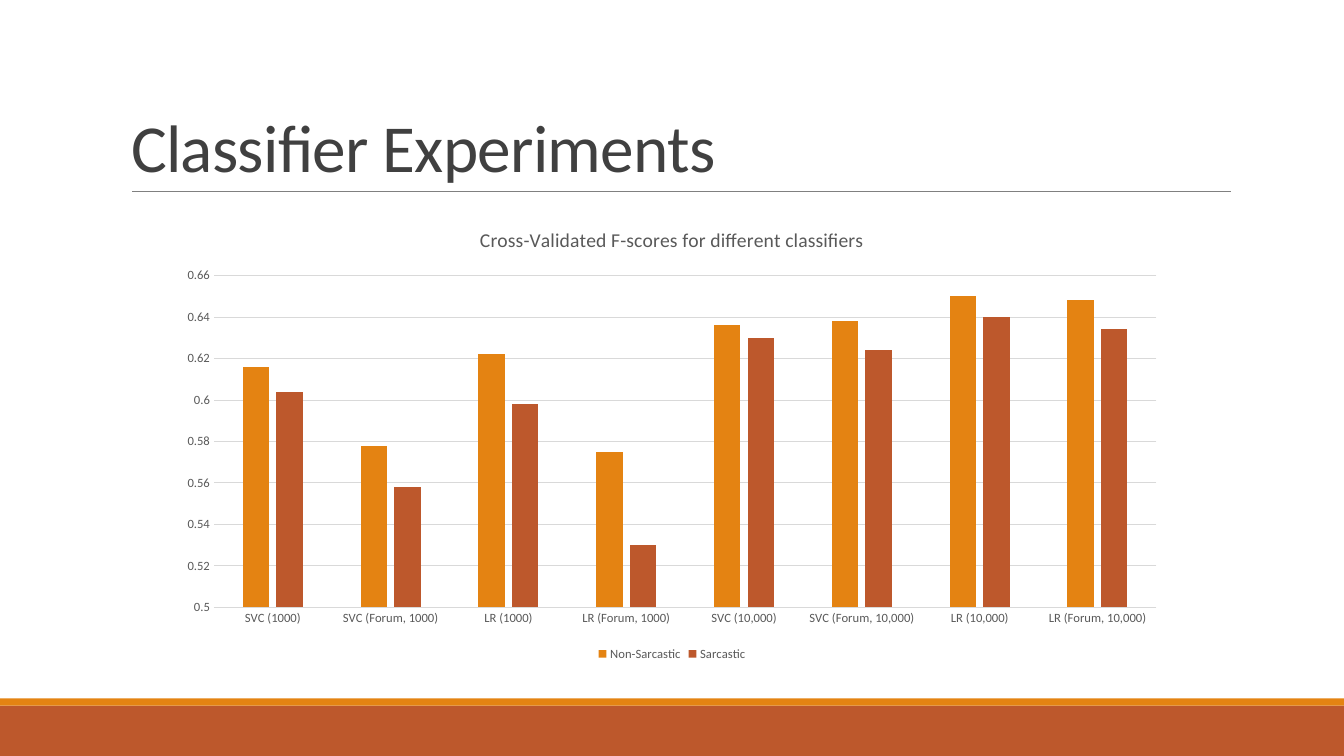
from lxml import etree
from pptx import Presentation
from pptx import util as u
from pptx.chart.data import CategoryChartData
from pptx.dml.color import RGBColor
from pptx.enum import chart as ch, shapes, text
from pptx.oxml.ns import qn

GRAY, RULE = "595959", "D9D9D9"
ORANGE, RUST = "E48312", "BD582C"


def rgb(code):
    return RGBColor.from_string(code)


def put(item, **vals):
    for name, val in vals.items():
        setattr(item, name, val)


def box(*vals):
    return [u.Inches(v) for v in vals]


class Deck:
    face = "Calibri"

    def __init__(self, wide, high):
        self.prs = Presentation()
        put(self.prs, slide_width=u.Inches(wide), slide_height=u.Inches(high))
        self.page = self.prs.slides.add_slide(self.prs.slide_layouts[5])

    def font(self, font, size, color, **more):
        put(font, name=self.face, size=u.Pt(size), **more)
        font.color.rgb = rgb(color)

    def stroke(self, line, color, width):
        line.color.rgb = rgb(color)
        line.width = u.Pt(width)

    def band(self, area, color):
        bar = self.page.shapes.add_shape(shapes.MSO_SHAPE.RECTANGLE, *box(*area))
        bar.shadow.inherit = False
        bar.fill.solid()
        bar.fill.fore_color.rgb = rgb(color)
        bar.line.fill.background()

    def rule(self, ends, color, width):
        line = self.page.shapes.add_connector(shapes.MSO_CONNECTOR.STRAIGHT, *box(*ends))
        self.stroke(line.line, color, width)
        etree.SubElement(line._element.spPr, qn("a:effectLst"))

    def title(self, words, area):
        head = self.page.shapes.title
        put(head, **dict(zip(("left", "top", "width", "height"), box(*area))))
        frame = head.text_frame
        put(frame, word_wrap=True, auto_size=text.MSO_AUTO_SIZE.NONE,
            vertical_anchor=text.MSO_ANCHOR.BOTTOM)
        par = frame.paragraphs[0]
        put(par, alignment=text.PP_ALIGN.LEFT, line_spacing=0.85)
        run = par.add_run()
        run.text = words
        self.font(run.font, 48, "404040")
        run._r.get_or_add_rPr().set("spc", "-50")

    def axis(self, axis, **vals):
        put(axis, major_tick_mark=ch.XL_TICK_MARK.NONE,
            minor_tick_mark=ch.XL_TICK_MARK.NONE, **vals)
        self.font(axis.tick_labels.font, 9, GRAY)

    def chart(self, name, cats, rows, area):
        data = CategoryChartData()
        data.categories = cats
        for label, vals, _ in rows:
            data.add_series(label, vals)
        chart = self.page.shapes.add_chart(
            ch.XL_CHART_TYPE.COLUMN_CLUSTERED, *box(*area), data).chart
        self.font(chart.font, 10, "000000")
        put(chart, has_title=True, has_legend=True)

        frame = chart.chart_title.text_frame
        frame.text = name
        self.font(frame.paragraphs[0].runs[0].font, 14, GRAY, bold=False)
        chart.chart_title.include_in_layout = False

        put(chart.legend, position=ch.XL_LEGEND_POSITION.BOTTOM, include_in_layout=False)
        self.font(chart.legend.font, 9, GRAY)

        self.axis(chart.category_axis)
        self.stroke(chart.category_axis.format.line, RULE, 0.75)
        scale = chart.value_axis
        self.axis(scale, minimum_scale=0.5, maximum_scale=0.66, major_unit=0.02,
                  has_major_gridlines=True)
        scale.format.line.fill.background()
        self.stroke(scale.major_gridlines.format.line, RULE, 0.75)

        plot = chart.plots[0]
        put(plot, gap_width=219, overlap=-27, vary_by_categories=False)
        for bars, (_, _, color) in zip(plot.series, rows):
            bars.invert_if_negative = False
            bars.format.fill.solid()
            bars.format.fill.fore_color.rgb = rgb(color)


def main():
    deck = Deck(13.33, 7.5)
    deck.band((0, 7, 13.33, 0.5), RUST)
    deck.band((0, 6.93, 13.33, 0.07), ORANGE)
    deck.rule((1.31, 1.9, 12.21, 1.9), "808080", 0.5)
    deck.title("Classifier Experiments", (1.2, 0.31, 11, 1.59))
    cats = [f"{kind} ({source}{count})"
            for count in ("1000", "10,000")
            for kind in ("SVC", "LR")
            for source in ("", "Forum, ")]
    rows = [
        ("Non-Sarcastic", (0.616, 0.578, 0.622, 0.575, 0.636, 0.638, 0.65, 0.648), ORANGE),
        ("Sarcastic", (0.604, 0.558, 0.598, 0.53, 0.63, 0.624, 0.64, 0.634), RUST),
    ]
    deck.chart("Cross-Validated F-scores for different classifiers",
               cats, rows, (1.66, 2.07, 10.01, 4.53))
    deck.prs.save("out.pptx")


if __name__ == "__main__":
    main()
